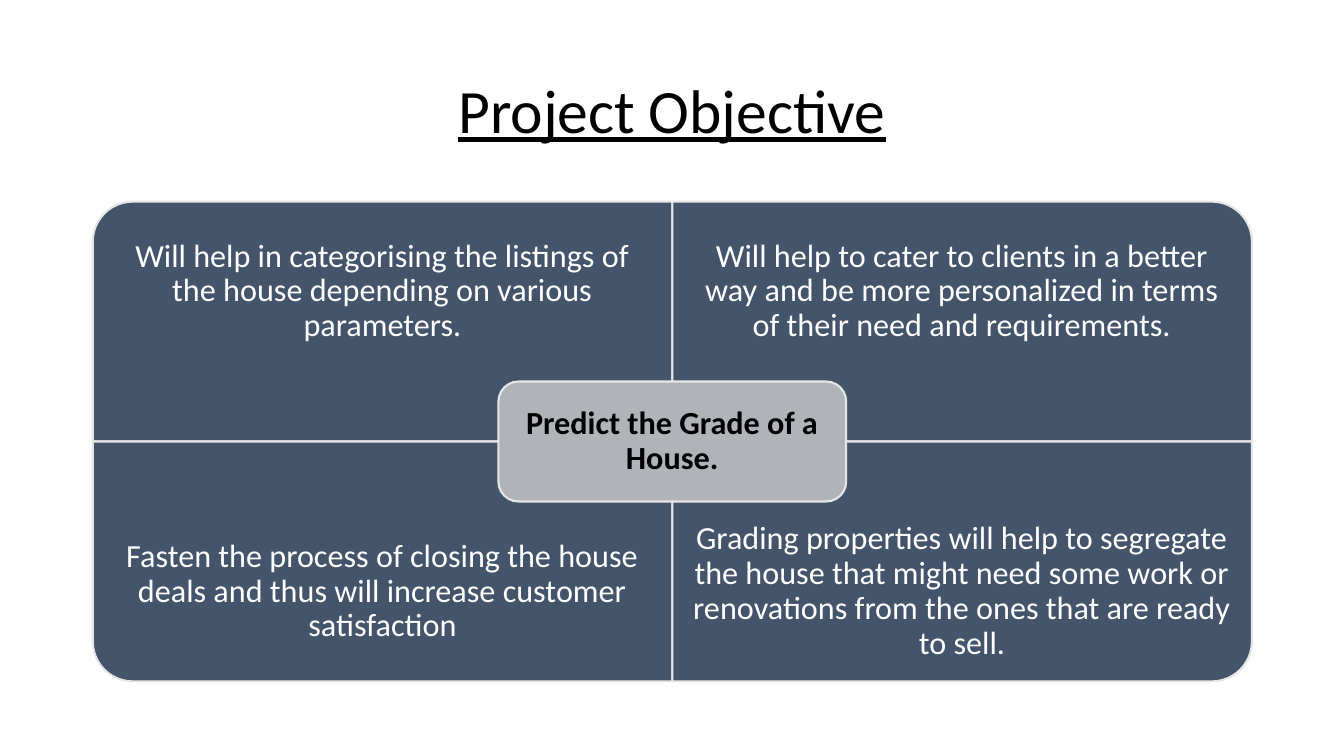
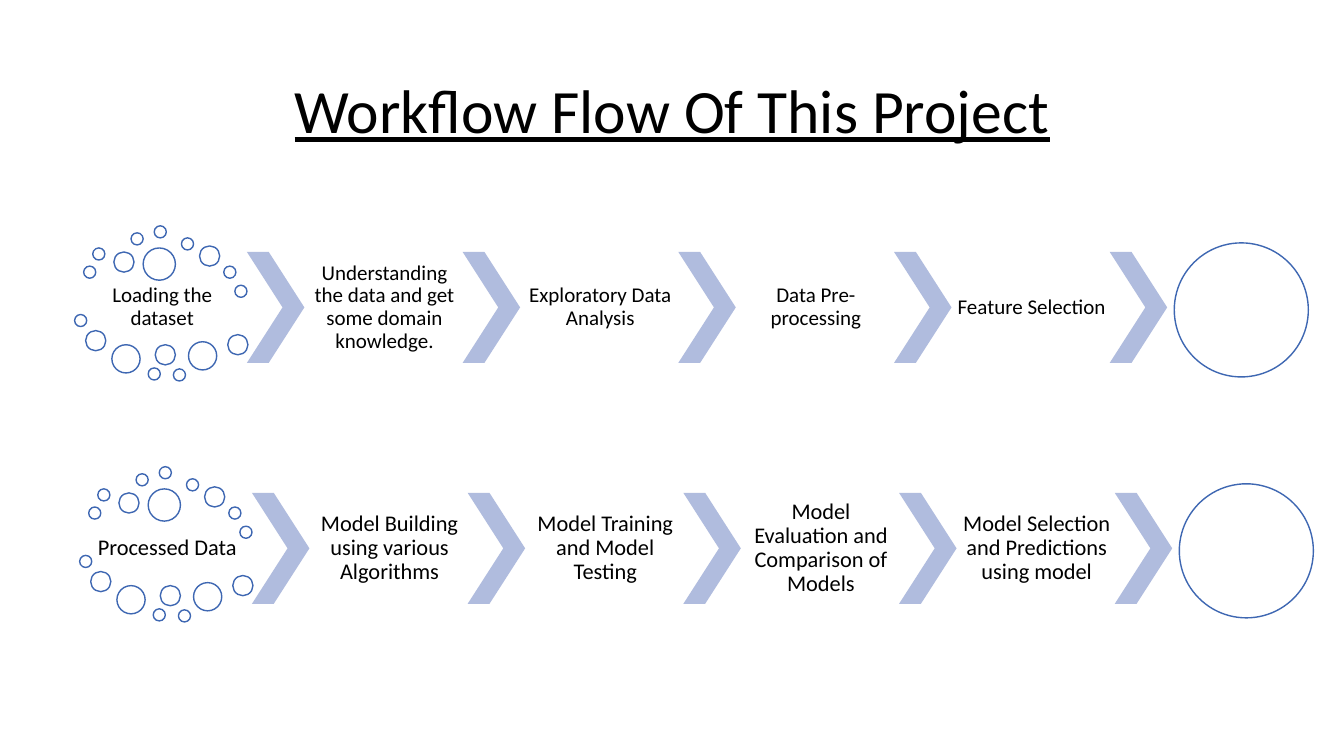
from pptx import Presentation
from pptx.dml.color import RGBColor
from pptx.enum.shapes import MSO_SHAPE as Preset
from pptx.enum.text import MSO_ANCHOR as Anchor, PP_ALIGN as Align
from pptx.util import Emu, Pt

PX = 9144  # 100 px to the inch
FONT = "Calibri"
BLACK = RGBColor(0x00, 0x00, 0x00)
WHITE = RGBColor(0xFF, 0xFF, 0xFF)
SLATE = RGBColor(0x44, 0x54, 0x6A)
SILVER = RGBColor(0xB0, 0xB4, 0xB9)
PALE = RGBColor(0xE7, 0xE6, 0xE6)
BLUE = RGBColor(0x3E, 0x67, 0xB2)
PERIWINKLE = RGBColor(0xB0, 0xBC, 0xDE)

OBJECTIVE_TITLE = "Project Objective"
GOAL = "Predict the Grade of a House."
# Row by row: text, and the turn that puts the round corner outside
QUADRANTS = [
    ("Will help in categorising the listings of the house depending on various parameters.", 270),
    ("Will help to cater to clients in a better way and be more personalized in terms "
     "of their need and requirements.", 0),
    ("Fasten the process of closing the house deals and thus will increase customer satisfaction", 180),
    ("Grading properties will help to segregate the house that might need some work or "
     "renovations from the ones that are ready to sell.", 90),
]

WORKFLOW_TITLE = "Workflow Flow Of This Project"
WORKFLOWS = [
    {"origin": (74, 224), "size": 15, "start": "Loading the dataset",
     "steps": ["Understanding the data and get some domain knowledge.",
               "Exploratory Data Analysis", "Data Pre-processing", "Feature Selection"]},
    {"origin": (79, 463), "size": 16, "start": "Processed Data",
     "steps": ["Model Building using various Algorithms",
               "Model Training and Model Testing",
               "Model Evaluation and Comparison of Models",
               "Model Selection and Predictions using model"]},
]
# Diameter: left and top of each bubble, from the workflow's origin
BUBBLES = {
    12: [(9, 40), (18, 22), (56, 7), (79, 0), (106, 12), (148, 40), (159, 59),
         (0, 88), (73, 141), (98, 142)],
    20: [(39, 26), (124, 20), (11, 104), (80, 118), (152, 108)],
    28: [(37, 118), (113, 115)],
    32: [(68, 22)],
}


def px(*lengths):
    return [Emu(round(length * PX)) for length in lengths]


def write(shape, text, size, color=BLACK, bold=False, underline=False, inset=2):
    frame = shape.text_frame
    frame.word_wrap = True
    frame.vertical_anchor = Anchor.MIDDLE
    (frame.margin_left, frame.margin_top,
     frame.margin_right, frame.margin_bottom) = px(*[inset] * 4)
    para = frame.paragraphs[0]
    para.alignment = Align.CENTER
    para.line_spacing = 0.9
    span = para.add_run()
    span.text = text
    font = span.font
    font.name, font.size, font.color.rgb = FONT, Pt(size), color
    font.bold, font.underline = bold, underline


def add_text(page, at, text, **style):
    write(page.shapes.add_textbox(*px(*at)), text, **style)


def add_preset(page, preset, at, fill, line=None, weight=1):
    shape = page.shapes.add_shape(preset, *px(*at))
    shape.shadow.inherit = False
    shape.fill.solid()
    shape.fill.fore_color.rgb = fill
    if line is None:
        shape.line.fill.background()
    else:
        shape.line.color.rgb = line
        shape.line.width = Pt(weight)
    return shape


def add_page(deck, title):
    page = deck.slides.add_slide(deck.slide_layouts[6])
    add_text(page, (92, 40, 1150, 145), title, size=44, underline=True, inset=5)
    return page


def add_quadrants(page):
    left, top, width, height, text_height = 92, 200, 575, 238, 178
    for index, (text, turn) in enumerate(QUADRANTS):
        row, column = divmod(index, 2)
        x, y = left + column * width, top + row * height
        # A quarter turn swaps the sides about the same centre
        wide, high = (height, width) if turn % 180 else (width, height)
        at = (x + (width - wide) / 2, y + (height - high) / 2, wide, high)
        panel = add_preset(page, Preset.ROUND_1_RECTANGLE, at, SLATE, PALE, 1.5)
        panel.rotation = turn
        text_top = y + row * (height - text_height)
        add_text(page, (x, text_top, width, text_height), text, size=23, color=WHITE, inset=18)
    wide, high = 345, 119
    at = (left + width - wide / 2, top + height - high / 2, wide, high)
    goal = add_preset(page, Preset.ROUNDED_RECTANGLE, at, SILVER, PALE, 1.5)
    write(goal, GOAL, size=23, bold=True, inset=16)


def add_workflow(page, flow):
    x, y = flow["origin"]
    size, steps = flow["size"], flow["steps"]
    add_text(page, (x + 9, y + 55, 156, 52), flow["start"], size=size)
    for diameter, places in BUBBLES.items():
        for dx, dy in places:
            add_preset(page, Preset.OVAL, (x + dx, y + dy, diameter, diameter), WHITE, BLUE)
    pitch, chevron_width, band_top, band_height = 214, 57, y + 26, 110
    for index in range(len(steps) + 1):
        left = x + 171 + index * pitch
        chevron = add_preset(page, Preset.CHEVRON,
                             (left, band_top, chevron_width, band_height), PERIWINKLE)
        chevron.adjustments[0] = 0.62
        if index < len(steps):
            add_text(page, (left + chevron_width + 1, band_top, 157, band_height),
                     steps[index], size=size)
    add_preset(page, Preset.OVAL, (x + 1091, y + 17, 133, 133), WHITE, BLUE)


def main():
    deck = Presentation()
    deck.slide_width, deck.slide_height = px(1333.33, 750)
    add_quadrants(add_page(deck, OBJECTIVE_TITLE))
    workflow_page = add_page(deck, WORKFLOW_TITLE)
    for flow in WORKFLOWS:
        add_workflow(workflow_page, flow)
    deck.save("out.pptx")


if __name__ == "__main__":
    main()
